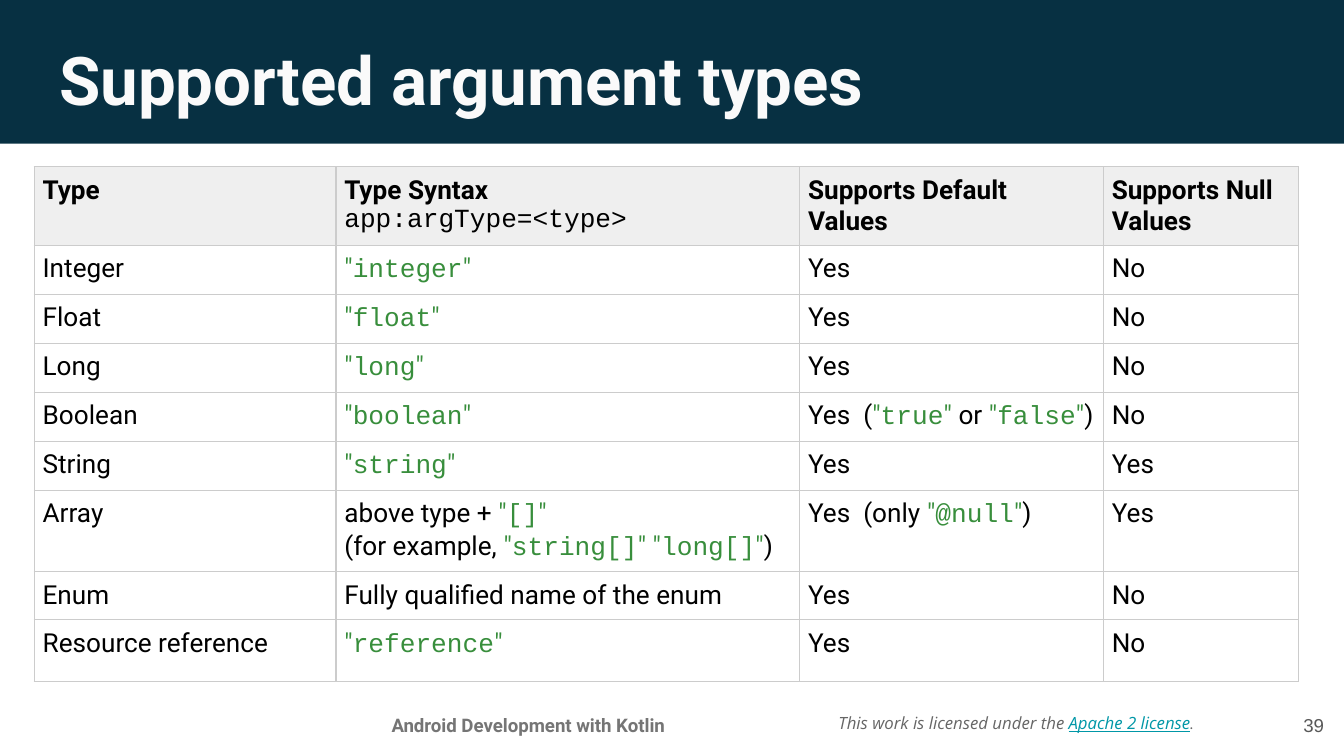
from lxml import etree
from pptx import Presentation
from pptx import util as u
from pptx.dml.color import RGBColor
from pptx.enum import shapes, text
from pptx.oxml import ns

PX = 4572  # EMU per px, 200 px to the inch

COLORS = {
    "band": "073042", "title": "FAFAFA", "header": "EFEFEF", "border": "CCCCCC",
    "text": "000000", "code": "388E3C", "footer": "757575",
    "license": "666666", "link": "0097A7", "number": "595959",
}

# Character formats
TITLE = {"name": "Roboto", "size": u.Pt(36), "bold": True, "color": "title"}
BODY = {"name": "Roboto", "size": u.Pt(14), "bold": False, "color": "text"}
HEADER = {**BODY, "bold": True}
SYNTAX = {**BODY, "name": "Courier New"}
QUOTE = {**BODY, "color": "code"}
CODE = {**SYNTAX, "color": "code"}
FOOTER = {"name": "Roboto", "size": u.Pt(10), "bold": True, "color": "footer"}
NUMBER = {"name": "Arial", "size": u.Pt(10), "color": "number"}
LICENSE = {"name": "Open Sans", "size": u.Pt(9), "italic": True, "color": "license"}
LINK = {**LICENSE, "color": "link", "underline": True}
LICENSE_END = {**LICENSE, "name": "Roboto"}

# Table content: text between backticks is shown as quoted code
CELL_MARGIN = u.Pt(4.5)
TABLE_BOX = (51, 248, 1881, 656)
COLUMN_WIDTHS = [449, 690, 452, 290]
ROW_HEIGHTS = [84, 58, 56, 58, 60, 58, 100, 72, 92]
HEADERS = [
    [[("Type", HEADER)]],
    [[("Type Syntax", HEADER)], [("app:argType=<type>", SYNTAX)]],
    [[("Supports Default", HEADER)], [("Values", HEADER)]],
    [[("Supports Null", HEADER)], [("Values", HEADER)]],
]
ROWS = [
    ["Integer", "`integer`", "Yes", "No"],
    ["Float", "`float`", "Yes", "No"],
    ["Long", "`long`", "Yes", "No"],
    ["Boolean", "`boolean`", "Yes  (`true` or `false`)", "No"],
    ["String", "`string`", "Yes", "Yes"],
    ["Array", "above type + `[]`\n(for example, `string[]` `long[]`)",
     "Yes  (only `@null`)", "Yes"],
    ["Enum", "Fully qualified name of the enum", "Yes", "No"],
    ["Resource reference", "`reference`", "Yes", "No"],
]


def px(*lengths):
    return [u.Emu(length * PX) for length in lengths]


def rgb(name):
    return RGBColor.from_string(COLORS[name])


def code_runs(line):
    """Split a line at its backticks into plain and quoted code runs."""
    runs = []
    for index, part in enumerate(line.split("`")):
        if index % 2:
            runs += [('"', QUOTE), (part, CODE), ('"', QUOTE)]
        elif part:
            runs.append((part, BODY))
    return runs


def write(frame, lines, align=text.PP_ALIGN.LEFT):
    """Fill a text frame with lines, each a list of (text, format) runs."""
    for index, runs in enumerate(lines):
        paragraph = frame.add_paragraph() if index else frame.paragraphs[0]
        paragraph.alignment = align
        for words, style in runs:
            run = paragraph.add_run()
            run.text = words
            for key, value in style.items():
                if key == "color":
                    run.font.color.rgb = rgb(value)
                else:
                    setattr(run.font, key, value)


def format_frame(frame, anchor):
    inset = u.Emu(20 * PX)
    settings = {
        "word_wrap": True, "auto_size": text.MSO_AUTO_SIZE.NONE,
        "vertical_anchor": anchor, "margin_left": inset, "margin_right": inset,
        "margin_top": inset, "margin_bottom": inset,
    }
    for key, value in settings.items():
        setattr(frame, key, value)


def add_band(slide):
    band = slide.shapes.add_shape(shapes.MSO_SHAPE.RECTANGLE, *px(-2, -8, 2003, 222))
    band.shadow.inherit = False
    band.fill.solid()
    band.fill.fore_color.rgb = rgb("band")
    band.line.fill.background()
    slide.shapes._spTree.insert(2, band._element)  # behind the title


def add_title(slide, words):
    title = slide.shapes.title
    title.left, title.top, title.width, title.height = px(68, 37, 1864, 126)
    format_frame(title.text_frame, text.MSO_ANCHOR.TOP)
    write(title.text_frame, [[(words, TITLE)]])


def add_label(slide, box, runs, align, anchor=text.MSO_ANCHOR.MIDDLE):
    label = slide.shapes.add_textbox(*px(*box))
    format_frame(label.text_frame, anchor)
    write(label.text_frame, [runs], align)


def add_borders(cell):
    properties = cell._tc.get_or_add_tcPr()
    for side in ("lnL", "lnR", "lnT", "lnB"):
        line = etree.SubElement(properties, ns.qn("a:" + side), w=str(u.Pt(0.75)))
        fill = etree.SubElement(line, ns.qn("a:solidFill"))
        etree.SubElement(fill, ns.qn("a:srgbClr"), val=COLORS["border"])


def add_types_table(slide):
    body = [[[code_runs(line) for line in cell.split("\n")] for cell in row]
            for row in ROWS]
    content = [HEADERS] + body
    frame = slide.shapes.add_table(len(content), len(HEADERS), *px(*TABLE_BOX))
    table = frame.table
    table.first_row = table.horz_banding = False
    for column, width in zip(table.columns, px(*COLUMN_WIDTHS)):
        column.width = width
    for row, height in zip(table.rows, px(*ROW_HEIGHTS)):
        row.height = height
    frame.height = u.Emu(TABLE_BOX[3] * PX)

    for row_index, row in enumerate(content):
        for column_index, lines in enumerate(row):
            cell = table.cell(row_index, column_index)
            for side in ("left", "right", "top", "bottom"):
                setattr(cell, "margin_" + side, CELL_MARGIN)
            add_borders(cell)
            if row_index == 0:
                cell.fill.solid()
                cell.fill.fore_color.rgb = rgb("header")
            else:
                cell.fill.background()
            write(cell.text_frame, lines)


def main():
    presentation = Presentation()
    presentation.slide_width, presentation.slide_height = px(2000, 1125)
    slide = presentation.slides.add_slide(presentation.slide_layouts[5])

    # Heading
    add_band(slide)
    add_title(slide, "Supported argument types")

    # Footer
    add_label(slide, (1228, 1029, 588, 94),
              [("This work is licensed under the ", LICENSE),
               ("Apache 2 license", LINK), (".", LICENSE_END)],
              text.PP_ALIGN.LEFT)
    add_label(slide, (503, 1042, 566, 64),
              [("Android Development with Kotlin", FOOTER)],
              text.PP_ALIGN.CENTER, text.MSO_ANCHOR.TOP)
    add_label(slide, (1870, 1036, 120, 86), [("39", NUMBER)], text.PP_ALIGN.RIGHT)

    # Argument types
    add_types_table(slide)
    presentation.save("out.pptx")


if __name__ == "__main__":
    main()
